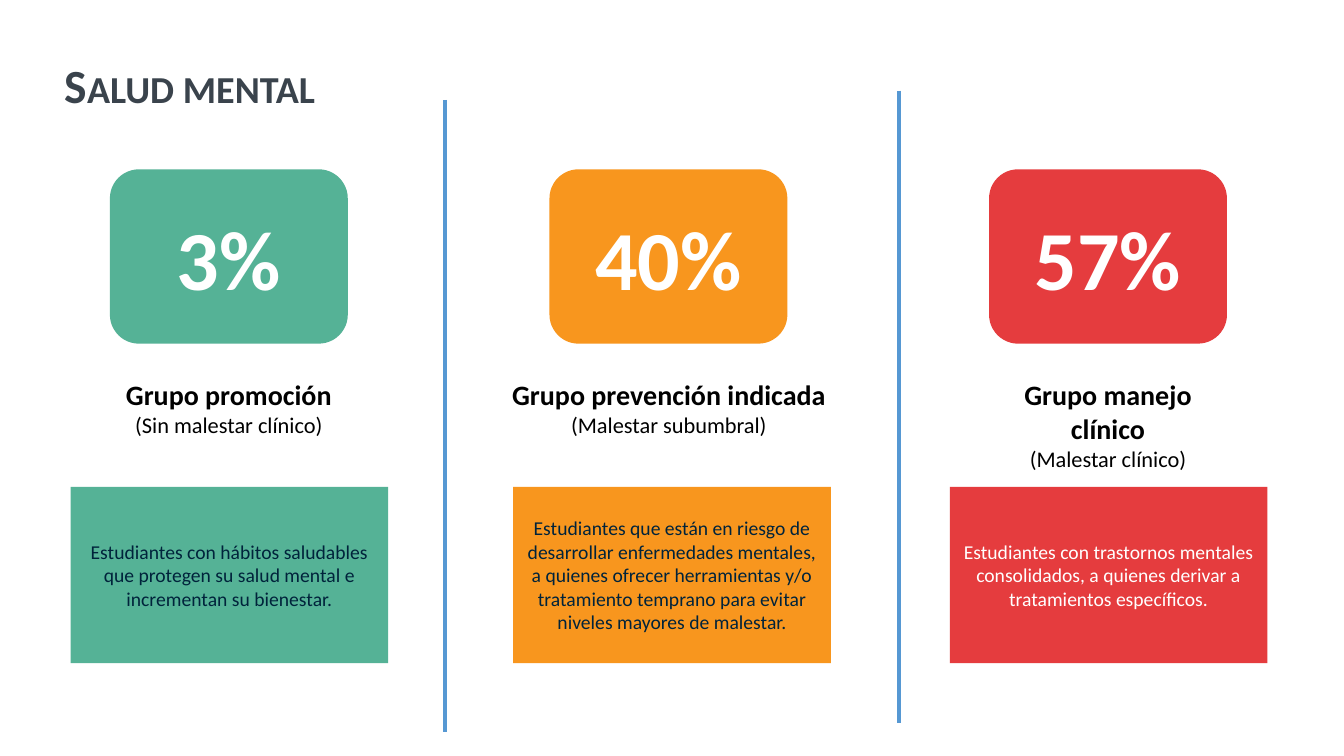
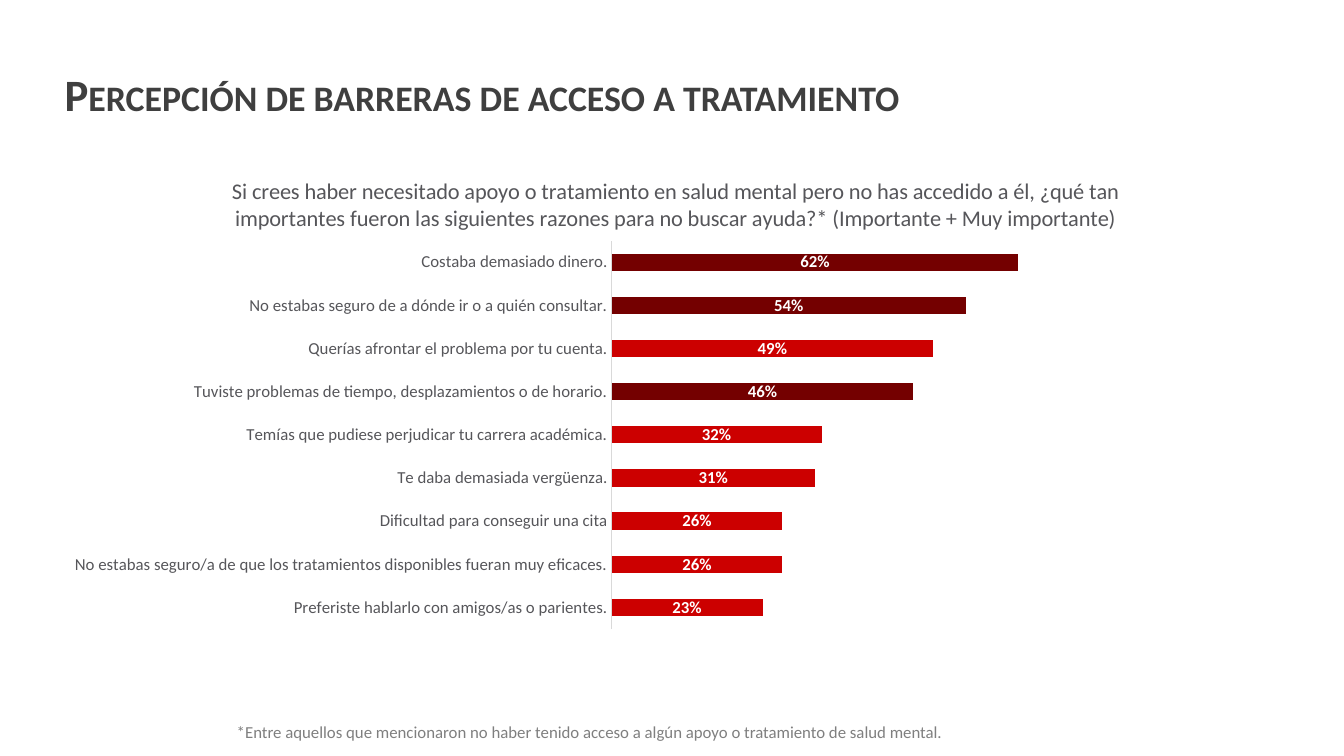
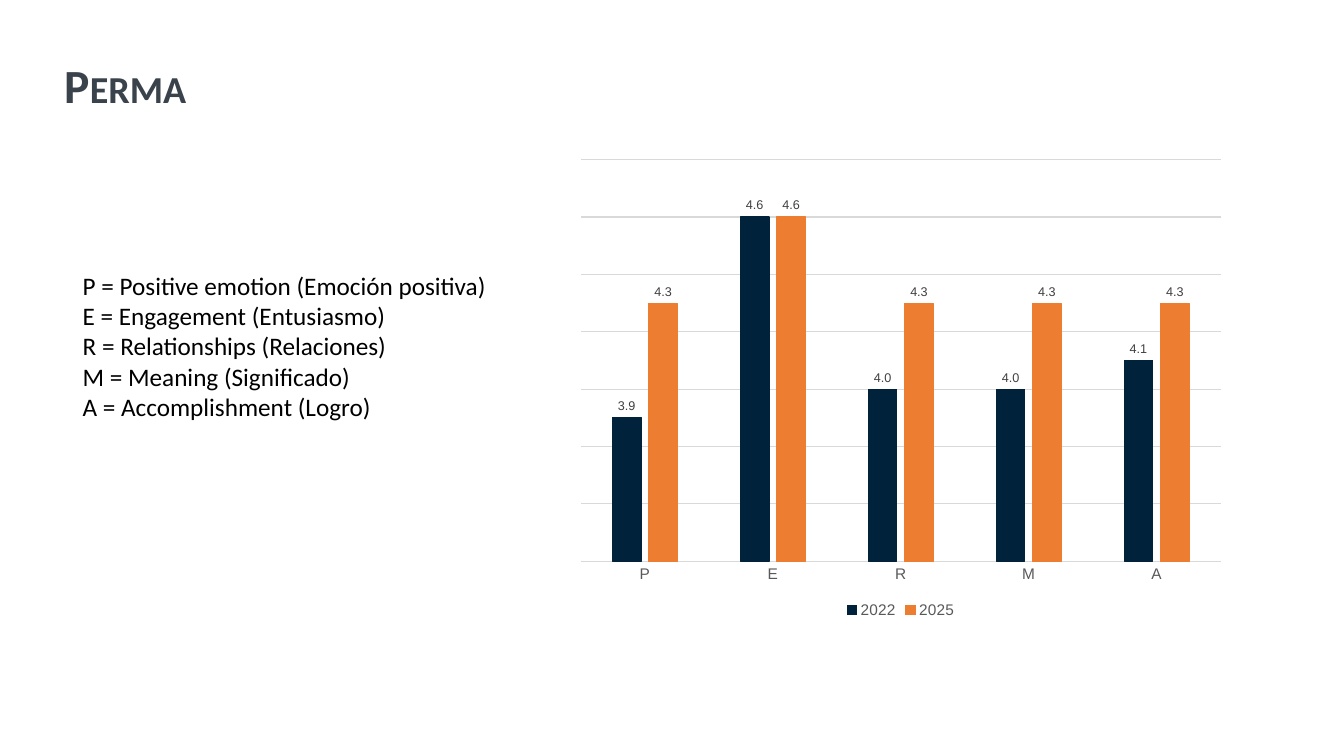
import dataclasses
import lxml.etree
import pptx
import pptx.chart.data
import pptx.dml.color
import pptx.enum.chart
import pptx.enum.shapes
import pptx.enum.text
import pptx.oxml
import pptx.oxml.ns
import pptx.util

PX = 9144
TITLE_AND_CONTENT, TITLE_ONLY = 1, 5
ALIGN = pptx.enum.text.PP_ALIGN
ANCHOR = pptx.enum.text.MSO_ANCHOR
SHAPE = pptx.enum.shapes.MSO_SHAPE
CHART = pptx.enum.chart.XL_CHART_TYPE
LABEL = pptx.enum.chart.XL_LABEL_POSITION


@dataclasses.dataclass(frozen=True)
class Theme:
    font: str = "Calibri"
    chart_font: str = "Arial"
    heading: str = "3A434C"
    heading_gray: str = "3F3F3F"
    black: str = "000000"
    white: str = "FFFFFF"
    navy: str = "00233B"
    green: str = "55B296"
    orange: str = "F8961E"
    red: str = "E53C3E"
    divider: str = "5698D3"
    barrier: str = "CC0000"
    key_barrier: str = "740000"
    barrier_text: str = "56565A"
    footnote: str = "7F7F7F"
    grid: str = "D9D9D9"
    year_2022: str = "00223A"
    year_2025: str = "ED7D31"
    axis_text: str = "595959"
    label_text: str = "404040"
    title_size: int = 34
    long_title_size: int = 32
    figure_size: int = 60
    group_size: int = 20
    list_size: int = 18
    question_size: int = 16
    card_size: int = 14
    note_size: int = 12
    axis_size: int = 11
    label_size: int = 9


THEME = Theme()

GROUPS = [
    ("3%", "Grupo promoción", "(Sin malestar clínico)", 256, 70, THEME.green, THEME.navy,
     "Estudiantes con hábitos saludables que protegen su salud mental e incrementan su bienestar."),
    ("40%", "Grupo prevención indicada", "(Malestar subumbral)", 333, 509, THEME.orange, THEME.navy,
     "Estudiantes que están en riesgo de desarrollar enfermedades mentales, a quienes ofrecer "
     "herramientas y/o tratamiento temprano para evitar niveles mayores de malestar."),
    ("57%", "Grupo manejo clínico", "(Malestar clínico)", 256, 942, THEME.red, THEME.white,
     "Estudiantes con trastornos mentales consolidados, a quienes derivar a tratamientos específicos."),
]

BARRIERS = {
    "Preferiste hablarlo con amigos/as o parientes.": 0.23,
    "No estabas seguro/a de que los tratamientos disponibles fueran muy eficaces.": 0.26,
    "Dificultad para conseguir una cita": 0.26,
    "Te daba demasiada vergüenza.": 0.31,
    "Temías que pudiese perjudicar tu carrera académica.": 0.32,
    "Tuviste problemas de tiempo, desplazamientos o de horario.": 0.46,
    "Querías afrontar el problema por tu cuenta.": 0.49,
    "No estabas seguro de a dónde ir o a quién consultar.": 0.54,
    "Costaba demasiado dinero.": 0.62,
}
KEY_BARRIERS = (5, 7, 8)
QUESTION = ("Si crees haber necesitado apoyo o tratamiento en salud mental pero no has accedido a él, "
            "¿qué tan importantes fueron las siguientes razones para no buscar ayuda?* "
            "(Importante + Muy importante)")

PERMA = [
    "P = Positive emotion (Emoción positiva)",
    "E = Engagement (Entusiasmo)",
    "R = Relationships (Relaciones)",
    "M = Meaning (Significado)",
    "A = Accomplishment (Logro)",
]
PERMA_SCORES = {"2022": (3.9, 4.6, 4.0, 4.0, 4.1), "2025": (4.3, 4.6, 4.3, 4.3, 4.3)}


def box(left, top, width, height):
    return [pptx.util.Emu(length * PX) for length in (left, top, width, height)]


def rgb(color):
    return pptx.dml.color.RGBColor.from_string(color)


def style(font, size, color, bold=False, name=THEME.font):
    font.name = name
    font.size = pptx.util.Pt(size)
    font.bold = bold
    font.color.rgb = rgb(color)


def paint_line(line, color, width=0.75):
    line.color.rgb = rgb(color)
    line.width = pptx.util.Pt(width)


def write(frame, lines, align=ALIGN.LEFT, anchor=ANCHOR.TOP):
    frame.word_wrap = True
    frame.auto_size = pptx.enum.text.MSO_AUTO_SIZE.NONE
    frame.vertical_anchor = anchor
    frame.text = "\n".join(text for text, *_ in lines)
    for paragraph, (_, size, color, bold) in zip(frame.paragraphs, lines):
        paragraph.alignment = align
        for run in paragraph.runs:
            style(run.font, size, color, bold)


def add_titled_slide(deck, layout, title, top=40, height=94, size=THEME.title_size, color=THEME.heading):
    slide = deck.slides.add_slide(deck.slide_layouts[layout])
    heading = slide.shapes.title
    heading.left, heading.top, heading.width, heading.height = box(54, top, 1273, height)
    write(heading.text_frame, [(title, size, color, True)], anchor=ANCHOR.MIDDLE)
    paragraph = heading.text_frame.paragraphs[0]
    paragraph.line_spacing = 0.9
    paragraph.runs[0]._r.get_or_add_rPr().set("cap", "small")
    return slide


def add_text(slide, place, lines, align=ALIGN.LEFT):
    write(slide.shapes.add_textbox(*box(*place)).text_frame, lines, align)


def add_panel(slide, kind, place, fill, line):
    panel = slide.shapes.add_shape(kind, *box(*place))
    panel.shadow.inherit = False
    panel.fill.solid()
    panel.fill.fore_color.rgb = rgb(fill)
    panel.line.fill.background()
    write(panel.text_frame, [line], ALIGN.CENTER, ANCHOR.MIDDLE)


def add_divider(slide, x, top, height):
    left, start, _, length = box(x, top, 0, height)
    divider = slide.shapes.add_connector(
        pptx.enum.shapes.MSO_CONNECTOR.STRAIGHT, left, start, left, start + length)
    paint_line(divider.line, THEME.divider, 3)
    lxml.etree.SubElement(divider._element.spPr, pptx.oxml.ns.qn("a:effectLst"))


def add_bullet_free_list(slide, place, items):
    body = slide.placeholders[1]
    body.left, body.top, body.width, body.height = box(*place)
    body.text_frame.text = "\n".join(items)
    write(body.text_frame, [(item, THEME.list_size, THEME.black, False) for item in items])
    for paragraph in body.text_frame.paragraphs:
        paragraph.space_before = pptx.util.Pt(0)
        properties = paragraph._p.get_or_add_pPr()
        properties.set("marL", "0")
        properties.set("indent", "0")
        lxml.etree.SubElement(properties, pptx.oxml.ns.qn("a:buNone"))


def set_layout(parent, position, **settings):
    for old in parent.findall(pptx.oxml.ns.qn("c:layout")):
        parent.remove(old)
    layout = lxml.etree.Element(pptx.oxml.ns.qn("c:layout"))
    manual = lxml.etree.SubElement(layout, pptx.oxml.ns.qn("c:manualLayout"))
    for key, value in settings.items():
        lxml.etree.SubElement(manual, pptx.oxml.ns.qn("c:" + key)).set("val", str(value))
    parent.insert(position, layout)


def add_bar_chart(slide, kind, place, categories, series, colors, number_format, value_range, plot_area,
                  gap, overlap, axis_font, label_font, label_position):
    data = pptx.chart.data.CategoryChartData(number_format=number_format)
    data.categories = categories
    for name, values in series.items():
        data.add_series(name, values)
    chart = slide.shapes.add_chart(kind, *box(*place), data).chart
    chart.has_title = False
    chart.has_legend = False
    style(chart.font, **axis_font)
    category_axis, value_axis = chart.category_axis, chart.value_axis
    category_axis.major_tick_mark = pptx.enum.chart.XL_TICK_MARK.NONE
    style(category_axis.tick_labels.font, **axis_font)
    paint_line(category_axis.format.line, THEME.grid)
    value_axis.visible = False
    value_axis.has_major_gridlines = False
    value_axis.minimum_scale, value_axis.maximum_scale = value_range
    bars = chart.plots[0]
    bars.vary_by_categories = False
    bars.gap_width, bars.overlap = gap, overlap
    for bar, color in zip(bars.series, colors):
        bar.format.fill.solid()
        bar.format.fill.fore_color.rgb = rgb(color)
        labels = bar.data_labels
        labels.show_value = True
        labels.number_format = number_format
        labels.number_format_is_linked = False
        labels.position = label_position
        style(labels.font, **label_font)
    x, y, width, height = plot_area
    set_layout(chart._chartSpace.chart.plotArea, 0, layoutTarget="inner", xMode="edge", yMode="edge",
               x=x, y=y, w=width, h=height)
    return chart


def build_mental_health(deck):
    slide = add_titled_slide(deck, TITLE_ONLY, "Salud mental")
    for index, (share, group, distress, width, card_left, fill, ink, profile) in enumerate(GROUPS):
        center = 227 + 436 * index
        add_panel(slide, SHAPE.ROUNDED_RECTANGLE, (center - 118, 168, 236, 173), fill,
                  (share, THEME.figure_size, THEME.white, True))
        add_text(slide, (center - width // 2, 370, width, 71),
                 [(group, THEME.group_size, THEME.black, True),
                  (distress, THEME.question_size, THEME.black, False)], ALIGN.CENTER)
        add_panel(slide, SHAPE.RECTANGLE, (card_left, 483, 315, 175), fill,
                  (profile, THEME.card_size, ink, False))
    for x, top in ((441, 99), (892, 90)):
        add_divider(slide, x, top, 627)


def build_barriers(deck):
    slide = add_titled_slide(deck, TITLE_ONLY, "Percepción de barreras de acceso a tratamiento",
                             24, 145, THEME.long_title_size, THEME.heading_gray)
    chart = add_bar_chart(
        slide, CHART.BAR_CLUSTERED, (54, 146, 1228, 488), list(BARRIERS),
        {"Series 1": list(BARRIERS.values())}, [THEME.barrier], "0%", (0, 1), (0.45, 0.19, 0.53, 0.79),
        150, 100, {"size": THEME.note_size, "color": THEME.barrier_text},
        {"size": THEME.note_size, "color": THEME.white, "bold": True}, LABEL.CENTER)
    for index in KEY_BARRIERS:
        fill = chart.plots[0].series[0].points[index].format.fill
        fill.solid()
        fill.fore_color.rgb = rgb(THEME.key_barrier)
    question = chart.chart_title
    question.text_frame.text = QUESTION
    style(question.text_frame.paragraphs[0].runs[0].font, THEME.question_size, THEME.barrier_text)
    set_layout(question._element, 1, xMode="edge", yMode="edge", x=0.14, y=0.05)
    add_text(slide, (225, 711, 930, 30),
             [("*Entre aquellos que mencionaron no haber tenido acceso a algún apoyo o tratamiento "
               "de salud mental.", THEME.note_size, THEME.footnote, False)])


def build_perma(deck):
    slide = add_titled_slide(deck, TITLE_AND_CONTENT, "Perma")
    add_bullet_free_list(slide, (72, 263, 491, 162), PERMA)
    axis_font = {"size": THEME.axis_size, "color": THEME.axis_text, "name": THEME.chart_font}
    colors = [THEME.year_2022, THEME.year_2025]
    chart = add_bar_chart(
        slide, CHART.COLUMN_CLUSTERED, (563, 149, 661, 469), list("PERMA"), PERMA_SCORES, colors,
        "0.0", (3.4, 4.8), (0.02, 0.02, 0.96, 0.85), 219, -27, axis_font,
        {"size": THEME.label_size, "color": THEME.label_text, "name": THEME.chart_font},
        LABEL.OUTSIDE_END)
    for year, color in zip(chart.plots[0].series, colors):
        paint_line(year.format.line, color)
    chart.value_axis.major_unit = 0.2
    chart.value_axis.has_major_gridlines = True
    paint_line(chart.value_axis.major_gridlines.format.line, THEME.grid)
    chart.has_legend = True
    chart.legend.position = pptx.enum.chart.XL_LEGEND_POSITION.BOTTOM
    chart.legend.include_in_layout = False
    style(chart.legend.font, **axis_font)


def main():
    deck = pptx.Presentation()
    _, _, deck.slide_width, deck.slide_height = box(0, 0, 1333, 750)
    build_mental_health(deck)
    build_barriers(deck)
    build_perma(deck)
    deck.save("out.pptx")


if __name__ == "__main__":
    main()
